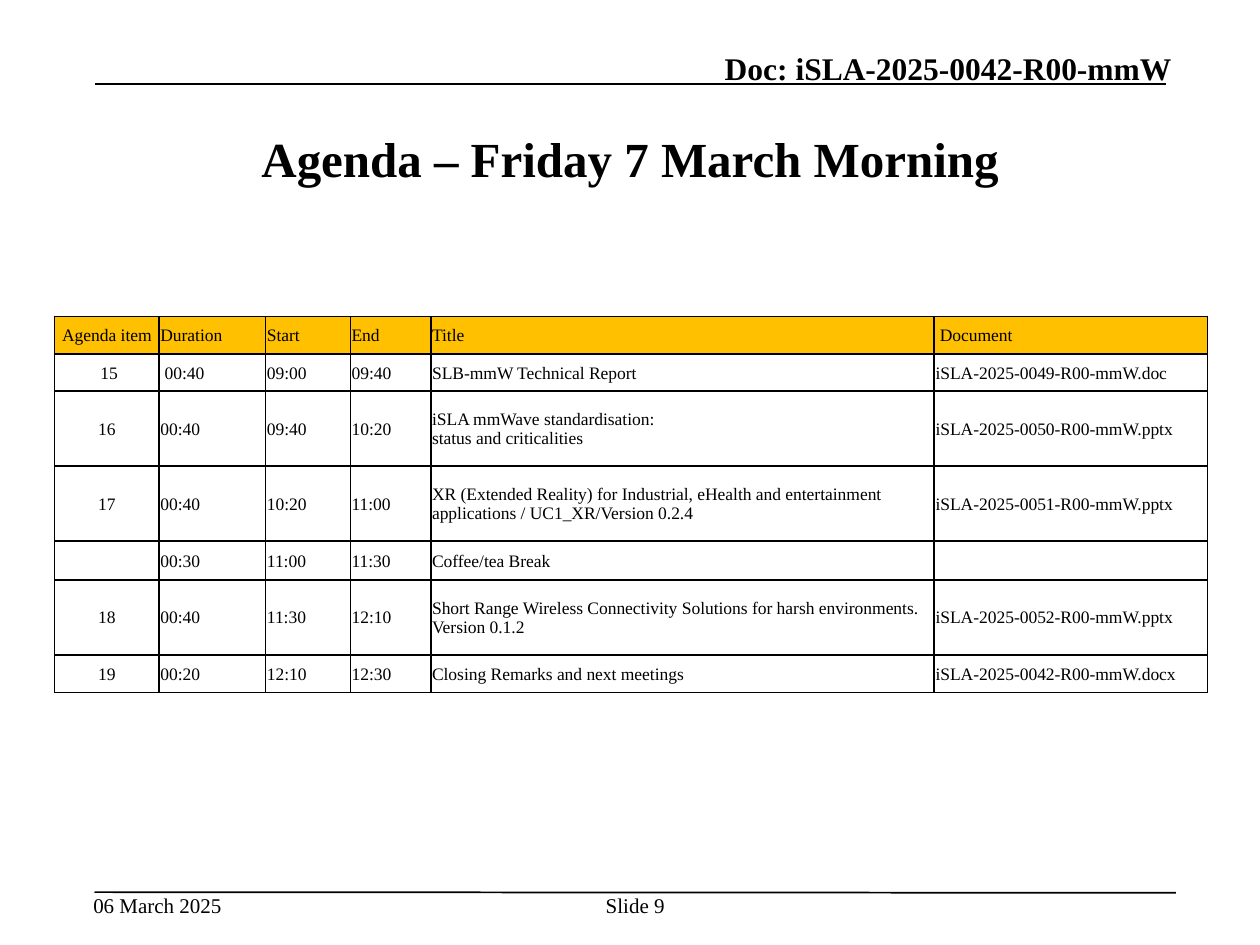
from lxml.etree import SubElement
from pptx import Presentation
from pptx.dml.color import RGBColor
from pptx.enum.shapes import MSO_CONNECTOR
from pptx.enum.text import MSO_ANCHOR, PP_ALIGN
from pptx.oxml.ns import qn
from pptx.util import Pt

LEFT, MID, RIGHT = PP_ALIGN.LEFT, PP_ALIGN.CENTER, PP_ALIGN.RIGHT
TOP, CENTER, BASE = MSO_ANCHOR.TOP, MSO_ANCHOR.MIDDLE, MSO_ANCHOR.BOTTOM
LINE = MSO_CONNECTOR.STRAIGHT
FONT = "Times New Roman"
HUES = {"ink": "000000", "head": "FFC000"}
INK = RGBColor.from_string(HUES["ink"])


def write(frame, text, size, align, bold=False):
    frame.text = text
    for para in frame.paragraphs:
        para.alignment = align
        for run in para.runs:
            run.font.name = FONT
            run.font.size = Pt(size)
            run.font.bold = bold
            run.font.color.rgb = INK


deck = Presentation()
deck.slide_width, deck.slide_height = Pt(720), Pt(540)
slide = deck.slides.add_slide(deck.slide_layouts[5])

for x1, y1, x2, y2 in [(54, 48.2, 666, 48.2), (54, 509.8, 672, 510.2)]:
    rule = slide.shapes.add_connector(LINE, Pt(x1), Pt(y1), Pt(x2), Pt(y2))
    rule.line.color.rgb = INK
    rule.line.width = Pt(1)
    SubElement(rule._element.spPr, qn("a:effectLst"))

title = slide.shapes.title
title.left, title.top, title.width, title.height = Pt(54), Pt(54), Pt(612), Pt(72)
title.text_frame.vertical_anchor = CENTER
write(title.text_frame, "Agenda – Friday 7 March Morning", 28, MID, True)

labels = [
    ("Doc: iSLA-2025-0042-R00-mmW", 393.8, 28, 275.8, 21.6, 18, RIGHT, BASE, True),
    ("06 March 2025", 53.3, 509.8, 74, 14.4, 12, LEFT, TOP, False),
    ("Slide 9", 342, 509.8, 42, 28.8, 12, MID, TOP, False),
]
for text, x, y, w, h, size, align, anchor, bold in labels:
    box = slide.shapes.add_textbox(Pt(x), Pt(y), Pt(w), Pt(h))
    frame = box.text_frame
    frame.margin_left = frame.margin_right = 0
    frame.margin_top = frame.margin_bottom = 0
    frame.word_wrap = size == 18
    frame.vertical_anchor = anchor
    write(frame, text, size, align, bold)

rows = [
    ("Agenda item", "Duration", "Start", "End", "Title", " Document"),
    (" 15", " 00:40", "09:00", "09:40", "SLB-mmW Technical Report",
     "iSLA-2025-0049-R00-mmW.doc"),
    ("16", "00:40", "09:40", "10:20",
     "iSLA mmWave standardisation: \vstatus and criticalities",
     "iSLA-2025-0050-R00-mmW.pptx"),
    ("17", "00:40", "10:20", "11:00",
     "XR (Extended Reality) for Industrial, eHealth and entertainment "
     "applications / UC1_XR/Version 0.2.4",
     "iSLA-2025-0051-R00-mmW.pptx"),
    ("", "00:30", "11:00", "11:30", "Coffee/tea Break", ""),
    ("18", "00:40", "11:30", "12:10",
     "Short Range Wireless Connectivity Solutions for harsh environments. "
     "Version 0.1.2",
     "iSLA-2025-0052-R00-mmW.pptx"),
    ("19", "00:20", "12:10", "12:30", "Closing Remarks and next meetings",
     "iSLA-2025-0042-R00-mmW.docx"),
]
widths = [59.7, 60.9, 48.4, 46, 287.7, 156.3]
unit = 21.4
tall = {2, 3, 5}

grid = slide.shapes.add_table(
    len(rows), len(widths), Pt(31.2), Pt(180.8), Pt(sum(widths)),
    Pt(unit * (len(rows) + len(tall)))
).table
grid.first_row = grid.horz_banding = False
for col, width in zip(grid.columns, widths):
    col.width = Pt(width)
for r, row in enumerate(rows):
    grid.rows[r].height = Pt(unit * (2 if r in tall else 1))
    for c, text in enumerate(row):
        cell = grid.cell(r, c)
        cell.margin_left = cell.margin_right = cell.margin_top = Pt(0.75)
        cell.margin_bottom = 0
        cell.vertical_anchor = CENTER
        write(cell.text_frame, text, 10, LEFT if c else MID)
        props = cell._tc.get_or_add_tcPr()
        for side in ("lnL", "lnR", "lnT", "lnB"):
            edge = SubElement(props, qn(f"a:{side}"), w=str(Pt(1)))
            fill = SubElement(edge, qn("a:solidFill"))
            SubElement(fill, qn("a:srgbClr"), val=HUES["ink"])
        if r:
            cell.fill.background()
        else:
            cell.fill.solid()
            cell.fill.fore_color.rgb = RGBColor.from_string(HUES["head"])

deck.save("out.pptx")
